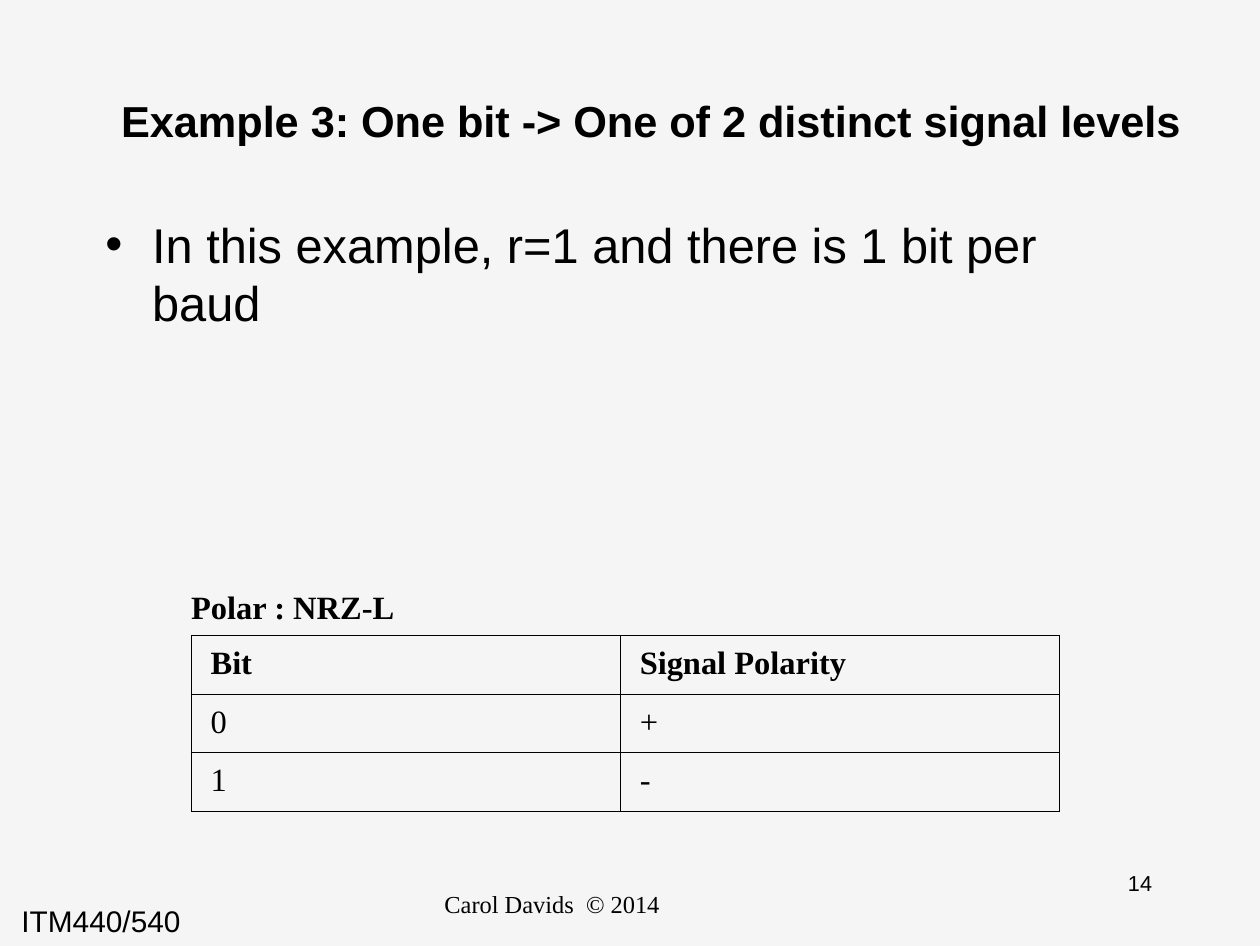
from dataclasses import dataclass

from lxml.etree import SubElement
from pptx import Presentation
from pptx.dml.color import RGBColor
from pptx.enum.text import MSO_ANCHOR as Anchor, MSO_AUTO_SIZE as AutoSize, PP_ALIGN as Align
from pptx.oxml.ns import qn
from pptx.util import Inches, Pt


@dataclass(frozen=True)
class Theme:
    ink: str = "000000"
    paper: str = "F5F5F5"
    sans: str = "Arial"
    serif: str = "Times New Roman"
    title: int = 16
    body: int = 18
    table: int = 12
    course: int = 11
    footer: int = 9
    number: int = 8
    border: float = 0.45


THEME = Theme()
TIGHT = (0.06, 0.03, 0.06, 0.03)
ROOMY = (0.1, 0.05, 0.1, 0.05)


def write(holder, text, *, size, font=THEME.serif, bold=False, align=Align.LEFT,
          anchor=Anchor.TOP, margins=TIGHT, wrap=True, bullet_indent=None):
    """Fill a shape or table cell with one formatted paragraph."""
    frame = holder.text_frame
    frame.text = text
    frame.word_wrap = wrap
    frame.auto_size = AutoSize.NONE
    holder_margins = [Inches(margin) for margin in margins]
    target = frame if hasattr(holder, "shape_type") else holder
    target.margin_left, target.margin_top, target.margin_right, target.margin_bottom = holder_margins
    target.vertical_anchor = anchor
    paragraph = frame.paragraphs[0]
    if bullet_indent:
        properties = paragraph._p.get_or_add_pPr()
        properties.set("marL", str(Inches(bullet_indent)))
        properties.set("indent", str(-Inches(bullet_indent)))
        SubElement(properties, qn("a:buFont"), typeface=THEME.sans)
        SubElement(properties, qn("a:buChar"), char="•")
    paragraph.alignment = align
    paragraph.space_before = Pt(0)
    style = paragraph.runs[0].font
    style.name, style.size, style.bold = font, Pt(size), bold
    style.color.rgb = RGBColor.from_string(THEME.ink)


def outline(cell):
    """Draw a thin line on all four sides of a cell."""
    properties = cell._tc.get_or_add_tcPr()
    for position, side in enumerate(("a:lnL", "a:lnR", "a:lnT", "a:lnB")):
        line = SubElement(properties, qn(side), w=str(Pt(THEME.border)))
        fill = SubElement(line, qn("a:solidFill"))
        SubElement(fill, qn("a:srgbClr"), val=THEME.ink)
        properties.insert(position, line)


deck = Presentation()
deck.slide_width, deck.slide_height = Inches(6.46), Inches(4.85)
slide = deck.slides.add_slide(deck.slide_layouts[1])
slide.background.fill.solid()
slide.background.fill.fore_color.rgb = RGBColor.from_string(THEME.paper)

# Title and body
title, body = slide.placeholders
title.left, title.top, title.width, title.height = map(Inches, (0.34, 0.21, 6, 0.81))
write(title, "Example 3: One bit -> One of 2 distinct signal levels", size=THEME.title,
      font=THEME.sans, bold=True, align=Align.CENTER, anchor=Anchor.MIDDLE)
body.left, body.top, body.width, body.height = map(Inches, (0.48, 1.02, 5.49, 2.86))
write(body, "In this example, r=1 and there is 1 bit per baud", size=THEME.body,
      font=THEME.sans, margins=(0.06, 0.08, 0.06, 0.03), bullet_indent=0.24)

# Footer and table caption
labels = [
    ("ITM440/540", (0, 4.58, 2.1, 0.29),
     dict(size=THEME.course, font=THEME.sans, margins=(0.11, 0.05, 0.11, 0.05))),
    ("14", (5.34, 4.43, 1.01, 0.32),
     dict(size=THEME.number, font=THEME.sans, align=Align.CENTER)),
    ("Carol Davids  © 2014", (1.7, 4.53, 2.26, 0.32),
     dict(size=THEME.footer, align=Align.CENTER)),
    ("Polar : NRZ-L", (0.98, 3.01, 1.05, 0.2),
     dict(size=THEME.table, bold=True, anchor=Anchor.MIDDLE, margins=(0, 0, 0, 0), wrap=False)),
]
for text, place, text_format in labels:
    write(slide.shapes.add_textbox(*map(Inches, place)), text, **text_format)

# Bit to polarity table
polarities = [("Bit", "Signal Polarity"), ("0", "+"), ("1", "-")]
grid = slide.shapes.add_table(3, 2, *map(Inches, (0.98, 3.26, 4.45, 0.9))).table
for column, width in zip(grid.columns, (2.2, 2.25)):
    column.width = Inches(width)
for row, values in enumerate(polarities):
    for column, value in enumerate(values):
        cell = grid.cell(row, column)
        write(cell, value, size=THEME.table, bold=row == 0, margins=ROOMY)
        cell.fill.background()
        outline(cell)

deck.save("out.pptx")
